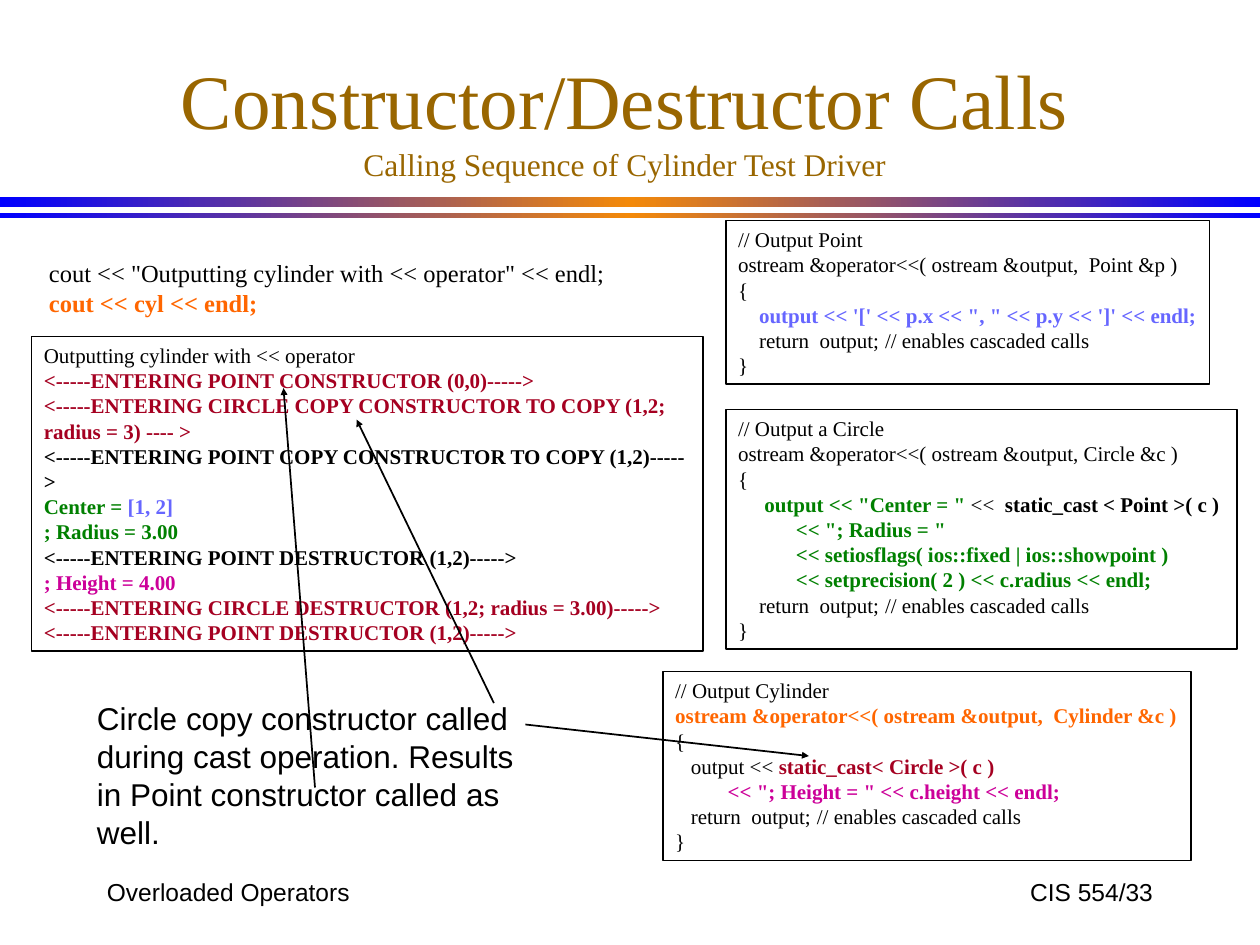
from lxml import etree
from pptx import Presentation
from pptx.dml.color import RGBColor
from pptx.enum.shapes import MSO_CONNECTOR, MSO_SHAPE
from pptx.enum.text import MSO_ANCHOR, MSO_AUTO_SIZE, PP_ALIGN
from pptx.oxml.ns import qn
from pptx.util import Inches, Pt

BLACK = RGBColor(0x00, 0x00, 0x00)
BROWN = RGBColor(0x99, 0x66, 0x00)
BLUE = RGBColor(0x00, 0x00, 0xFF)
AMBER = RGBColor(0xF3, 0x89, 0x09)
RED = RGBColor(0xA5, 0x00, 0x21)
GREEN = RGBColor(0x00, 0x80, 0x00)
PERIWINKLE = RGBColor(0x66, 0x66, 0xFF)
MAGENTA = RGBColor(0xCC, 0x00, 0x99)
ORANGE = RGBColor(0xFF, 0x66, 0x00)
SERIF, SANS = "Times New Roman", "Arial"
SPACE = 3 / 72  # width in inches of one blank in 12 pt Times New Roman

# A code line is (indent in blanks, span, ...); a span is (text, colour of bold or None).
RETURN = "return  output;\t// enables cascaded calls"

DRIVER = [
    (0, ('cout << "Outputting cylinder with << operator" << endl;', None)),
    (0, ("cout << cyl << endl;", ORANGE)),
]
TRACE = [
    (0, ("Outputting cylinder with << operator", None)),
    (0, ("<-----ENTERING POINT CONSTRUCTOR (0,0)----->", RED)),
    (0, ("<-----ENTERING CIRCLE COPY CONSTRUCTOR TO COPY (1,2; radius = 3) ---- >", RED)),
    (0, ("<-----ENTERING POINT COPY CONSTRUCTOR TO COPY (1,2)----->", BLACK)),
    (0, ("Center =", GREEN), (" [1, 2]", PERIWINKLE)),
    (0, ("; Radius = 3.00", GREEN)),
    (0, ("<-----ENTERING POINT DESTRUCTOR (1,2)----->", BLACK)),
    (0, ("; Height = 4.00", MAGENTA)),
    (0, ("<-----ENTERING CIRCLE DESTRUCTOR (1,2; radius = 3.00)----->", RED)),
    (0, ("<-----ENTERING POINT DESTRUCTOR (1,2)----->", RED)),
]
POINT = [
    (0, ("// Output Point", None)),
    (0, ("ostream &operator<<( ostream &output,  Point &p )", None)),
    (0, ("{", None)),
    (4, ("output << '[' << p.x << \", \" << p.y << ']' << endl;", PERIWINKLE)),
    (4, (RETURN, None)),
    (0, ("}", None)),
]
CIRCLE = [
    (0, ("// Output a Circle", None)),
    (0, ("ostream &operator<<( ostream &output, Circle &c )", None)),
    (0, ("{", None)),
    (5, ('output << "Center = "', GREEN), (" <<  ", None), ("static_cast < Point >( c )", BLACK)),
    (11, ('<< "; Radius = "', GREEN)),
    (11, ("<< setiosflags( ios::fixed | ios::showpoint )", GREEN)),
    (11, ("<< setprecision( 2 ) << c.radius << endl;", GREEN)),
    (4, (RETURN, None)),
    (0, ("}", None)),
]
CYLINDER = [
    (0, ("// Output Cylinder", None)),
    (0, ("ostream &operator<<( ostream &output,  Cylinder &c )", ORANGE)),
    (0, ("{", None)),
    (3, ("output << ", None), ("static_cast< Circle >( c )", RED)),
    (10, ('<< "; Height = " << c.height << endl;', MAGENTA)),
    (3, (RETURN, None)),
    (0, ("}", None)),
]

# lines, box (left, top, width, height), wraps
FRAMES = [
    (TRACE, (0.25, 2.67, 5.33, 2.5), True),
    (CYLINDER, (5.26, 5.33, 4.19, 1.5), False),
    (POINT, (5.76, 1.75, 3.84, 1.3), False),
    (CIRCLE, (5.76, 3.25, 4.06, 1.9), False),
]
ARROWS = [
    ((4.17, 5.75), (6.42, 6)),
    ((2.5, 6.25), (2.25, 3.08)),
    ((3.92, 5.58), (2.83, 3.33)),
]


def inches(values):
    return [Inches(value) for value in values]


def style(font, name, size, colour):
    font.name, font.size = name, Pt(size)
    font.color.rgb = colour


def add_title(page, box):
    title = page.shapes.title
    title.left, title.top, title.width, title.height = inches(box)
    frame = title.text_frame
    frame.auto_size = MSO_AUTO_SIZE.NONE
    frame.vertical_anchor = MSO_ANCHOR.BOTTOM
    para = frame.paragraphs[0]
    para.alignment = PP_ALIGN.CENTER
    heading = para.add_run()
    heading.text = "Constructor/Destructor Calls"
    style(heading.font, SERIF, 44, BROWN)
    para.add_line_break()
    subtitle = para.add_run()
    subtitle.text = "Calling Sequence of Cylinder Test Driver"
    style(subtitle.font, SERIF, 18, BROWN)


def add_band(page, box):
    """Add a bar that fades from blue to amber and back."""
    band = page.shapes.add_shape(MSO_SHAPE.RECTANGLE, *inches(box))
    band.shadow.inherit = False
    band.line.fill.background()
    band.fill.gradient()
    band.fill.gradient_angle = 0
    first, last = band.fill.gradient_stops
    first.color.rgb, first.position = BLUE, 0
    last.color.rgb, last.position = BLUE, 1
    stops = band._element.spPr.find(qn("a:gradFill")).find(qn("a:gsLst"))
    middle = etree.Element(qn("a:gs"), pos="50000")
    etree.SubElement(middle, qn("a:srgbClr"), val=str(AMBER))
    stops.insert(1, middle)


def write_code(frame, lines, size):
    for number, (indent, *spans) in enumerate(lines):
        para = frame.paragraphs[0] if number == 0 else frame.add_paragraph()
        para.alignment = PP_ALIGN.LEFT
        margin = Inches(indent * SPACE)
        properties = para._p.get_or_add_pPr()
        properties.set("marL", str(margin))
        properties.set("indent", "0")
        if any("\t" in text for text, _ in spans):
            tabs = etree.SubElement(properties, qn("a:tabLst"))
            etree.SubElement(tabs, qn("a:tab"), pos=str(margin + Inches(1.12)), algn="l")
        for text, colour in spans:
            span = para.add_run()
            span.text = text
            style(span.font, SERIF, size, colour or BLACK)
            span.font.bold = colour is not None


def add_code_frame(page, lines, box, wraps):
    shape = page.shapes.add_shape(MSO_SHAPE.RECTANGLE, *inches(box))
    shape.shadow.inherit = False
    shape.fill.background()
    shape.line.color.rgb, shape.line.width = BLACK, Pt(1)
    frame = shape.text_frame
    frame.word_wrap = wraps
    frame.auto_size = MSO_AUTO_SIZE.SHAPE_TO_FIT_TEXT
    frame.vertical_anchor = MSO_ANCHOR.TOP
    write_code(frame, lines, 12)


def add_driver(page, box):
    frame = page.shapes.add_textbox(*inches(box)).text_frame
    frame.word_wrap = True
    write_code(frame, DRIVER, 14)


def add_label(page, text, box, size, align=PP_ALIGN.LEFT, anchor=MSO_ANCHOR.TOP):
    frame = page.shapes.add_textbox(*inches(box)).text_frame
    frame.word_wrap, frame.vertical_anchor = True, anchor
    para = frame.paragraphs[0]
    para.text, para.alignment = text, align
    style(para.font, SANS, size, BLACK)


def add_footer(page, box):
    left, top, width, height = box
    part = 2.3
    middle = MSO_ANCHOR.MIDDLE
    add_label(page, "Overloaded Operators", (left, top, part, height), 14, anchor=middle)
    add_label(page, "CIS 554/33", (left + width - part, top, part, height), 14,
              PP_ALIGN.RIGHT, middle)


def add_arrow(page, start, end):
    arrow = page.shapes.add_connector(MSO_CONNECTOR.STRAIGHT, *inches(start + end))
    arrow.line.color.rgb, arrow.line.width = BLACK, Pt(1)
    outline = arrow.line._get_or_add_ln()
    etree.SubElement(outline, qn("a:tailEnd"), type="triangle", w="sm", len="sm")
    etree.SubElement(arrow._element.spPr, qn("a:effectLst"))


def main():
    deck = Presentation()
    deck.slide_width, deck.slide_height = Inches(10), Inches(7.5)
    page = deck.slides.add_slide(deck.slide_layouts[5])
    for box in [(0, 1.56, 10, 0.08), (0, 1.69, 10, 0.04)]:
        add_band(page, box)
    add_footer(page, (0.75, 6.83, 8.5, 0.5))
    add_driver(page, (0.29, 2, 5, 0.57))
    for lines, box, wraps in FRAMES:
        add_code_frame(page, lines, box, wraps)
    add_title(page, (0.67, 0.25, 8.58, 1.25))
    add_label(page, "Circle copy constructor called during cast operation. "
              "Results in Point constructor called as well.", (0.67, 5.5, 3.58, 1.3), 18)
    for start, end in ARROWS:
        add_arrow(page, start, end)
    deck.save("out.pptx")


if __name__ == "__main__":
    main()
